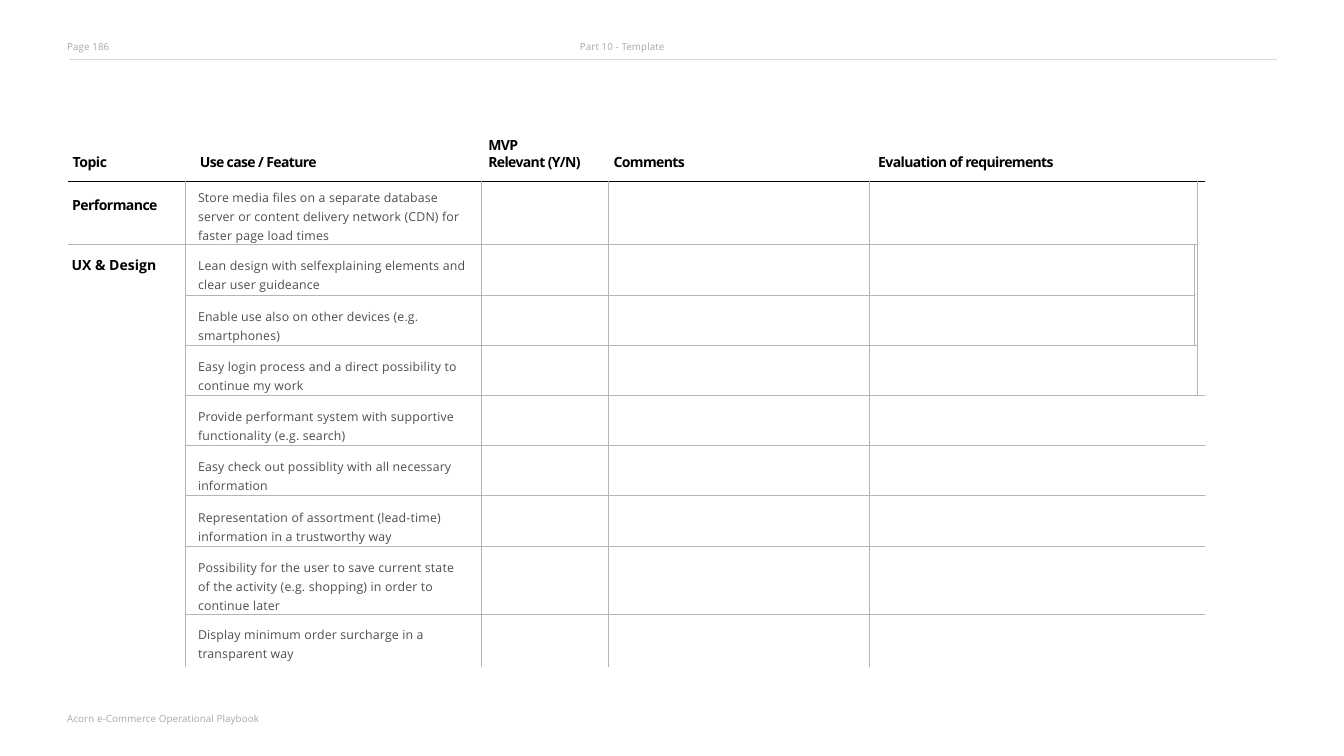
from typing import NamedTuple

import pptx
import pptx.dml.color
import pptx.enum.shapes
import pptx.enum.text
import pptx.oxml
import pptx.oxml.ns
import pptx.util

PX = 9144  # EMU, 100 px to the inch
FONT = "Open Sans"
NO_STYLE = "{2D5ABB26-0587-4C30-8999-92F81FD0307C}"
COLORS = {"black": "000000", "rule": "000101", "text": "4B4F51",
          "muted": "A7A8AA", "grid": "B4B5B7", "hairline": "D8DAD9"}


class Style(NamedTuple):
    size: float
    color: str
    bold: bool
    spacing: int  # hundredths of a point
    line: float | pptx.util.Pt | None = None


class Label(NamedTuple):
    x: int
    y: int
    w: int
    h: int
    text: str
    style: Style
    top: int = 1


class Entry(NamedTuple):
    row: int
    col: int
    text: str
    style: Style
    left: int
    top: int
    right: int = 0


class Span(NamedTuple):
    row: int
    col: int
    rows: int
    cols: int


MUTED = Style(11.5, "muted", False, 10)
HEAD = Style(16.5, "black", True, -70)
HEAD_TWO_LINES = HEAD._replace(line=pptx.util.Pt(19.8))
BODY = Style(14.5, "text", False, 20, 1.14)

LABELS = [
    Label(109, 65, 72, 22, "Page 186", MUTED),
    Label(948, 65, 146, 22, "Part 10 - Template", MUTED),
    Label(109, 1163, 322, 25, "Acorn e-Commerce Operational Playbook", MUTED, 3),
    Label(118, 251, 62, 30, "Topic", HEAD._replace(spacing=-50)),
    Label(326, 251, 207, 30, "Use case / Feature", HEAD),
    Label(798, 223, 161, 58, "MVP\nRelevant (Y/N)", HEAD_TWO_LINES),
    Label(1003, 251, 124, 30, "Comments", HEAD),
    Label(1436, 251, 307, 30, "Evaluation of requirements", HEAD),
]

TABLE_X, TABLE_Y = 112, 296
COL_W = [192, 483, 209, 426, 532, 5, 12]
ROW_H = [101, 84, 82, 82, 82, 82, 82, 111, 87]
SPANS = [Span(0, 4, 1, 2), Span(0, 6, 4, 1), Span(1, 0, 8, 1), Span(1, 5, 2, 1),
         Span(3, 4, 1, 2), *(Span(r, 4, 1, 3) for r in range(4, 9))]
FEATURES = [
    ("Store media files on a separate database server or content delivery "
     "network (CDN) for faster page load times", 10),
    ("Lean design with selfexplaining elements and clear user guideance", 18),
    ("Enable use also on other devices (e.g. smartphones)", 17),
    ("Easy login process and a direct possibility to continue my work", 17),
    ("Provide performant system with supportive functionality (e.g. search)", 17),
    ("Easy check out possiblity with all necessary information", 17),
    ("Representation of assortment (lead-time) information in a trustworthy way", 18),
    ("Possibility for the user to save current state of the activity "
     "(e.g. shopping) in order to continue later", 18),
    ("Display minimum order surcharge in a transparent way", 17),
]
ENTRIES = [
    Entry(0, 0, "Performance", HEAD._replace(spacing=-60), 6, 24),
    Entry(1, 0, "UX & Design", HEAD._replace(spacing=5), 5, 19),
    *(Entry(row, 1, text, BODY, 20, top, 22)
      for row, (text, top) in enumerate(FEATURES)),
]
LINE_ENDS = [*((x, 1091) for x in (304, 788, 996, 1423)),
             (110, 397), (1962, 397), (1956, 481), (1960, 563),
             (1974, 810), (1974, 728)]


def px(n: int) -> int:
    return n * PX


def rgb(name: str) -> pptx.dml.color.RGBColor:
    return pptx.dml.color.RGBColor.from_string(COLORS[name])


def set_all(obj, values: dict) -> None:
    for name, value in values.items():
        setattr(obj, name, value)


def write(tf, text: str, style: Style) -> None:
    tf.text = text
    for p in tf.paragraphs:
        if style.line:
            p.line_spacing = style.line
        for r in p.runs:
            set_all(r.font, {"name": FONT, "size": pptx.util.Pt(style.size),
                             "bold": style.bold})
            r.font.color.rgb = rgb(style.color)
            r.font._element.set("spc", str(style.spacing))


def add_label(slide, label: Label) -> None:
    sp = slide.shapes.add_textbox(px(label.x), px(label.y), px(label.w), px(label.h))
    tf = sp.text_frame
    set_all(tf, {"margin_left": px(1), "margin_top": px(label.top),
                 "margin_right": 0, "margin_bottom": 0, "word_wrap": True,
                 "auto_size": pptx.enum.text.MSO_AUTO_SIZE.SHAPE_TO_FIT_TEXT})
    write(tf, label.text, label.style)


def add_header_line(slide) -> None:
    line = slide.shapes.add_connector(
        pptx.enum.shapes.MSO_CONNECTOR.STRAIGHT, px(113), px(96), px(2089), px(96))
    line.line.color.rgb = rgb("hairline")
    line.line.width = pptx.util.Pt(0.1)
    line._element.spPr.append(pptx.oxml.parse_xml(
        f'<a:effectLst {pptx.oxml.ns.nsdecls("a")}/>'))


def add_line_end(slide, x: int, y: int) -> None:
    sp = slide.shapes.add_shape(
        pptx.enum.shapes.MSO_SHAPE.OVAL, px(x), px(y), px(1), px(1))
    sp.shadow.inherit = False
    sp.fill.solid()
    sp.fill.fore_color.rgb = rgb("grid")
    sp.line.fill.background()


def set_borders(cell, row: int, col: int) -> None:
    """Rule every inner edge and the top; leave the other outer edges open."""
    sides = {"L": col > 0, "R": col + cell.span_width < len(COL_W),
             "T": True, "B": row + cell.span_height < len(ROW_H)}
    tcPr = cell._tc.get_or_add_tcPr()
    for i, (side, ruled) in enumerate(sides.items()):
        color = COLORS["rule" if side == "T" and row == 0 else "grid"]
        fill = (f'<a:solidFill><a:srgbClr val="{color}"/></a:solidFill>'
                if ruled else "<a:noFill/>")
        tcPr.insert(i, pptx.oxml.parse_xml(
            f'<a:ln{side} {pptx.oxml.ns.nsdecls("a")} w="12700">{fill}</a:ln{side}>'))


def add_requirements(slide) -> None:
    tbl = slide.shapes.add_table(
        len(ROW_H), len(COL_W), px(TABLE_X), px(TABLE_Y),
        px(sum(COL_W)), px(sum(ROW_H))).table
    set_all(tbl, {"first_row": False, "horz_banding": False})
    tbl._tbl.tblPr.find(pptx.oxml.ns.qn("a:tableStyleId")).text = NO_STYLE
    for column, w in zip(tbl.columns, COL_W):
        column.width = px(w)
    for table_row, h in zip(tbl.rows, ROW_H):
        table_row.height = px(h)
    for s in SPANS:
        tbl.cell(s.row, s.col).merge(
            tbl.cell(s.row + s.rows - 1, s.col + s.cols - 1))
    for row in range(len(ROW_H)):
        for col in range(len(COL_W)):
            cell = tbl.cell(row, col)
            set_all(cell, dict.fromkeys(
                ("margin_left", "margin_top", "margin_right", "margin_bottom"), 0))
            cell.fill.background()
            if not cell.is_spanned:
                set_borders(cell, row, col)
    for e in ENTRIES:
        cell = tbl.cell(e.row, e.col)
        set_all(cell, {"margin_left": px(e.left), "margin_top": px(e.top),
                       "margin_right": px(e.right)})
        write(cell.text_frame, e.text, e.style)


def main() -> None:
    prs = pptx.Presentation()
    set_all(prs, {"slide_width": px(2199), "slide_height": px(1237)})
    s = prs.slides.add_slide(prs.slide_layouts[6])
    add_header_line(s)
    add_requirements(s)
    for x, y in LINE_ENDS:
        add_line_end(s, x, y)
    for label in LABELS:
        add_label(s, label)
    prs.save("out.pptx")


if __name__ == "__main__":
    main()
